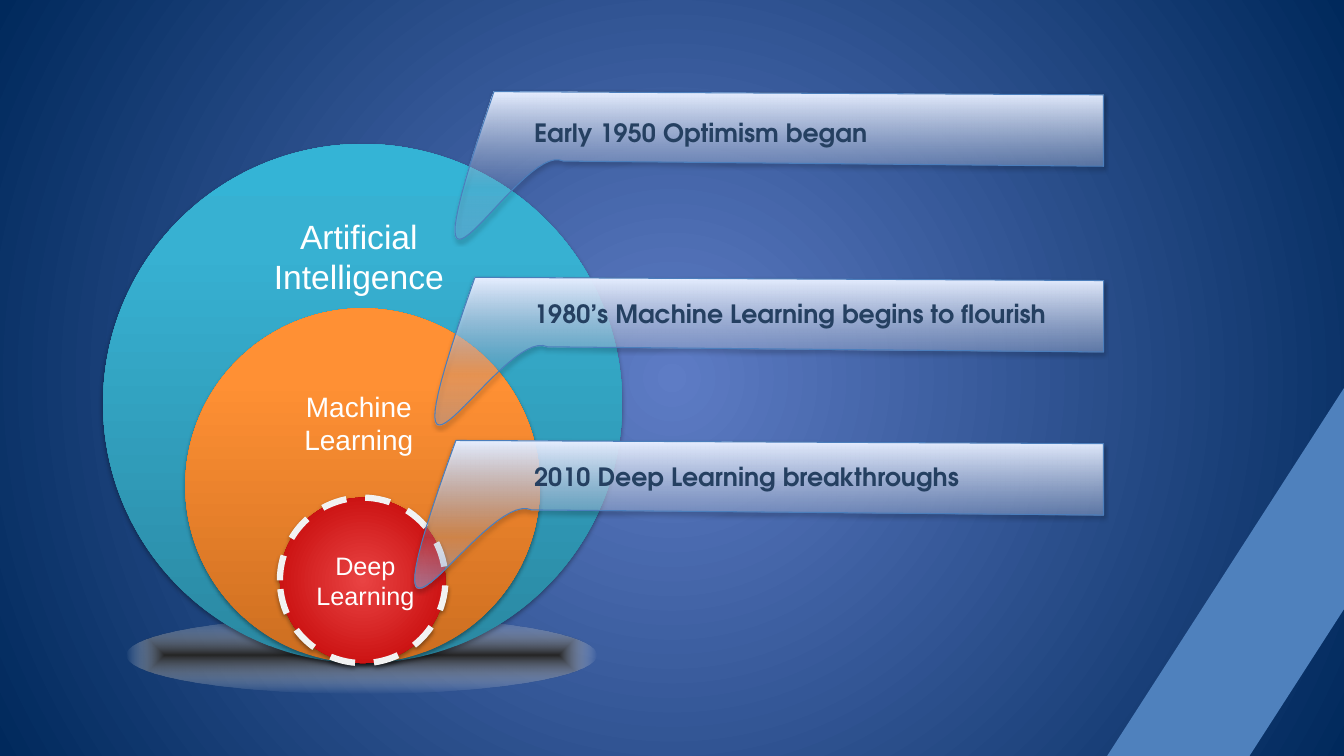
"""Build a slide nesting deep learning in machine learning in AI, with a milestone for each."""
from dataclasses import dataclass

import pptx
import pptx.dml.color
import pptx.enum.dml
import pptx.enum.shapes
import pptx.enum.text
import pptx.oxml
import pptx.oxml.ns
import pptx.util

Cm = pptx.util.Cm
Pt = pptx.util.Pt
RGBColor = pptx.dml.color.RGBColor
Shapes = pptx.enum.shapes.MSO_SHAPE
Align = pptx.enum.text.PP_ALIGN
qn = pptx.oxml.ns.qn


@dataclass(frozen=True)
class Theme:
    backdrop = [(0, "5E7CC5", 100), (100, "00295C", 100)]
    floor = [(0, "262626", 100), (100, "FFFFFF", 0)]
    teal = [(0, "2A88A2", 100), (80, "37B1D2", 100), (100, "34B4D6", 100)]
    orange = [(0, "CC6E20", 100), (80, "FF9034", 100), (100, "FF9136", 100)]
    red = [(0, "E94343", 100), (100, "C00000", 100)]
    band = RGBColor.from_string("4F81BD")
    dashes = RGBColor.from_string("F2F2F2")
    callout_edge = RGBColor.from_string("4B7EBC")
    white = RGBColor.from_string("FFFFFF")
    navy = RGBColor.from_string("254061")
    label_font = "Arial"
    milestone_font = "TeX Gyre Adventor"
    large, medium, small = Pt(24), Pt(20), Pt(18)


theme = Theme()


def paint_gradient(fill, properties, stops, path=None):
    """Fill with stops that run upwards, or outwards from the centre along a path."""
    fill.solid()
    stop_xml = "".join(
        f'<a:gs pos="{position * 1000}"><a:srgbClr val="{color}">'
        f'<a:alpha val="{opacity * 1000}"/></a:srgbClr></a:gs>'
        for position, color, opacity in stops)
    direction = '<a:lin ang="16200000" scaled="0"/>'
    if path:
        direction = (f'<a:path path="{path}"><a:fillToRect l="50000" t="50000" '
                     'r="50000" b="50000"/></a:path>')
    gradient = pptx.oxml.parse_xml(
        f'<a:gradFill {pptx.oxml.ns.nsdecls("a")} rotWithShape="1">'
        f'<a:gsLst>{stop_xml}</a:gsLst>{direction}</a:gradFill>')
    properties.replace(properties.find(qn("a:solidFill")), gradient)


def cast_shadow(shape, opacity, distance):
    """Drop a soft black shadow straight below the shape."""
    shape.shadow.inherit = False
    effects = shape._element.spPr.find(qn("a:effectLst"))
    effects.append(pptx.oxml.parse_xml(
        f'<a:outerShdw {pptx.oxml.ns.nsdecls("a")} blurRad="{Pt(3.1)}" '
        f'dist="{Pt(distance)}" dir="5400000" rotWithShape="0">'
        f'<a:srgbClr val="000000"><a:alpha val="{opacity * 1000}"/></a:srgbClr>'
        '</a:outerShdw>'))


presentation = pptx.Presentation()
presentation.slide_width = Cm(33.87)
presentation.slide_height = Cm(19.05)
slide = presentation.slides.add_slide(presentation.slide_layouts[6])

background_fill = slide.background.fill
background_fill.solid()
background_properties = slide._element.find(".//" + qn("p:bgPr"))
paint_gradient(background_fill, background_properties, theme.backdrop, "circle")

floor = slide.shapes.add_shape(Shapes.OVAL, Cm(3.2), Cm(15.54), Cm(11.84), Cm(1.93))
paint_gradient(floor.fill, floor._element.spPr, theme.floor, "shape")
floor.line.fill.background()
floor.shadow.inherit = False

circle_center, circle_bottom = 9.14, 16.71
circles = [
    (13.08, theme.teal, None, 35, 1.8),
    (8.94, theme.orange, None, 35, 1.8),
    (4.17, theme.red, "circle", 38, 1.6),
]
for diameter, stops, path, opacity, distance in circles:
    circle = slide.shapes.add_shape(
        Shapes.OVAL, Cm(circle_center - diameter / 2), Cm(circle_bottom - diameter),
        Cm(diameter), Cm(diameter))
    paint_gradient(circle.fill, circle._element.spPr, stops, path)
    circle.line.fill.background()
    cast_shadow(circle, opacity, distance)
circle.line.color.rgb = theme.dashes
circle.line.width = Pt(4.5)
circle.line.dash_style = pptx.enum.dml.MSO_LINE.DASH

callout_right = 27.81
curve_steps = 32
for index, (top, low_opacity, mid_opacity) in enumerate(
        [(2.31, 28, 15), (6.99, 29, 16), (11.1, 49, 16)]):
    neck = (14.2 - 0.4 * index, top + 1.75)
    neck_pull = (13.08 - 0.45 * index, top + 1.19)
    tail_pull = (9.86 - 0.56 * index, top + 7.54)
    corner = (12.45 - 0.48 * index, top)
    outline = [(callout_right, top + 0.08), (callout_right, top + 1.88), neck]
    for step in range(1, curve_steps):
        t = step / curve_steps
        weights = ((1 - t) ** 3, 3 * t * (1 - t) ** 2, 3 * t ** 2 * (1 - t), t ** 3)
        controls = (neck, neck_pull, tail_pull, corner)
        outline.append(tuple(
            sum(weight * point[axis] for weight, point in zip(weights, controls))
            for axis in (0, 1)))
    builder = slide.shapes.build_freeform(Cm(corner[0]), Cm(corner[1]))
    builder.add_line_segments([(Cm(x), Cm(y)) for x, y in outline], close=True)
    callout = builder.convert_to_shape()
    callout_stops = [(0, "A4C4FF", low_opacity), (35, "BFD4FF", mid_opacity),
                     (100, "E6EEFF", 100)]
    paint_gradient(callout.fill, callout._element.spPr, callout_stops)
    callout.line.color.rgb = theme.callout_edge
    callout.line.width = Pt(0.75)
    cast_shadow(callout, 38, 1.6)

label_style = (theme.label_font, theme.white, False, Align.CENTER)
milestone_style = (theme.milestone_font, theme.navy, True, Align.LEFT)
texts = [
    ("Artificial Intelligence", 6.05, 5.31, 5.99, 2.31, theme.large, label_style),
    ("Machine Learning", 6.05, 9.68, 5.99, 1.96, theme.medium, label_style),
    ("Deep Learning", 6.96, 13.74, 4.5, 1.8, theme.small, label_style),
    ("Early 1950 Optimism began", 13.21, 2.84, 14.94, 1.02, theme.small, milestone_style),
    ("1980’s Machine Learning begins to flourish", 13.21, 7.39, 14.94, 1.02,
     theme.small, milestone_style),
    ("2010 Deep Learning breakthroughs", 13.21, 11.51, 14.94, 1.02,
     theme.small, milestone_style),
]
for text, left, top, width, height, size, (font_name, color, bold, alignment) in texts:
    text_box = slide.shapes.add_textbox(Cm(left), Cm(top), Cm(width), Cm(height))
    text_frame = text_box.text_frame
    text_frame.word_wrap = True
    text_frame.auto_size = pptx.enum.text.MSO_AUTO_SIZE.SHAPE_TO_FIT_TEXT
    paragraph = text_frame.paragraphs[0]
    paragraph.text = text
    paragraph.alignment = alignment
    paragraph.font.name = font_name
    paragraph.font.size = size
    paragraph.font.bold = bold
    paragraph.font.color.rgb = color

band = slide.shapes.add_shape(
    Shapes.PARALLELOGRAM, Cm(26.82), Cm(4.45), Cm(14.07), Cm(16.28))
band.adjustments[0] = 0.745
band.fill.solid()
band.fill.fore_color.rgb = theme.band
band.line.fill.background()
band.shadow.inherit = False

presentation.save("out.pptx")
